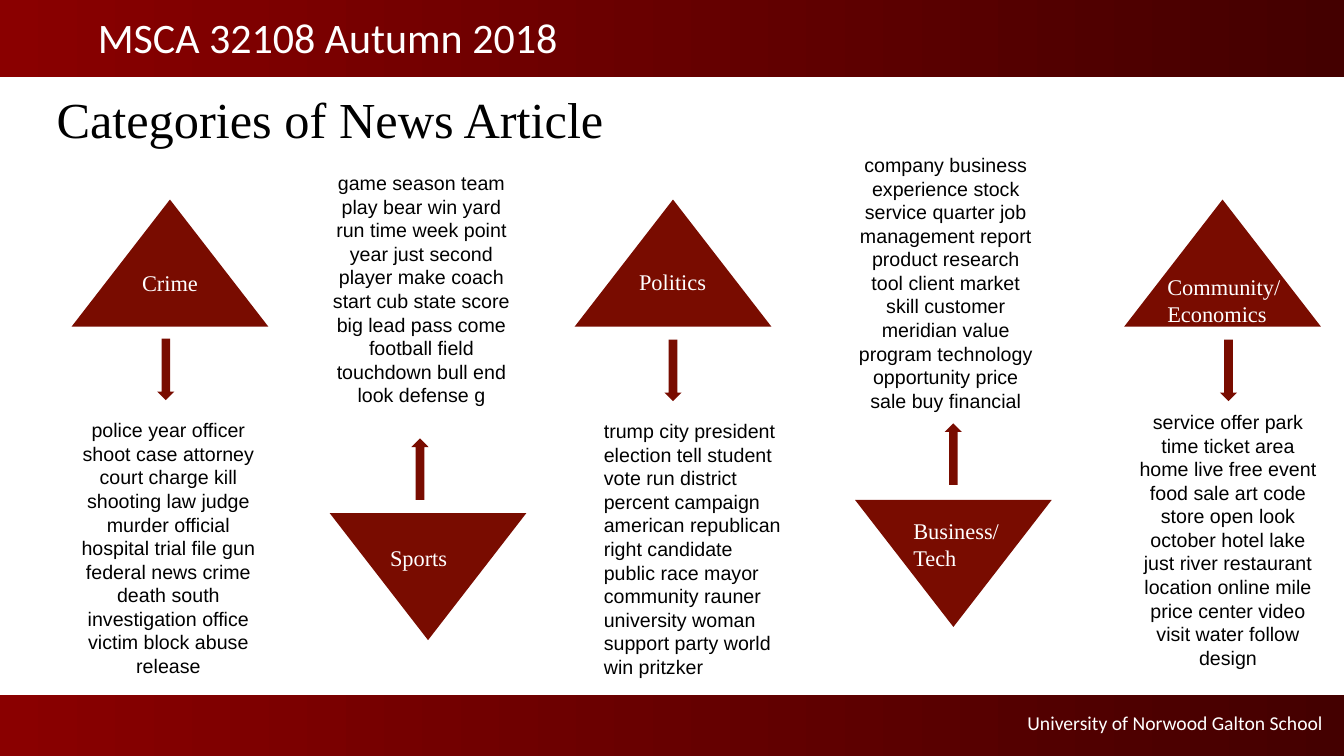
"""Build the slide that sorts news articles into five keyword categories."""
from dataclasses import dataclass
from typing import Optional

import pptx
import pptx.dml.color
import pptx.enum.shapes
import pptx.enum.text
import pptx.util

Align = pptx.enum.text.PP_ALIGN
Anchor = pptx.enum.text.MSO_ANCHOR
Preset = pptx.enum.shapes.MSO_SHAPE

COLORS = {"bright": "8A0000", "dark": "440000", "maroon": "790C00",
          "white": "FFFFFF", "black": "000000"}
WIDTH = pptx.util.Inches(13.33)
HEIGHT = pptx.util.Inches(7.5)


@dataclass(frozen=True)
class Area:
    """Position and size in percent of the slide."""
    left: float
    top: float
    width: float
    height: float

    def lengths(self) -> tuple[int, int, int, int]:
        return (round(WIDTH * self.left / 100), round(HEIGHT * self.top / 100),
                round(WIDTH * self.width / 100), round(HEIGHT * self.height / 100))


@dataclass(frozen=True)
class Style:
    font: str
    size: int
    color: str
    align: Align = Align.LEFT
    inset: tuple[float, float] = (0.1, 0.05)


@dataclass(frozen=True)
class Category:
    name: str
    words: str
    points_up: bool
    triangle: tuple[float, float]
    arrow: tuple[float, float]
    list_area: Area
    label: Optional[Area] = None
    align: Align = Align.CENTER


LABEL = Style("Times New Roman", 16, "white")
INNER_LABEL = Style("Times New Roman", 16, "white", Align.CENTER)
HEADING = Style("Times New Roman", 36, "black", inset=(0.05, 0.05))
COURSE = Style("Calibri", 30, "white", inset=(0.05, 0.05))
SCHOOL = Style("Calibri", 14, "white", Align.RIGHT)
TRIANGLE_SIZE = (14.63, 16.8)
ARROW_SIZE = (1.28, 8.13)

CATEGORIES = [
    Category("Crime",
             "police year officer shoot case attorney court charge kill shooting law judge "
             "murder official hospital trial file gun federal news crime death south "
             "investigation office victim block abuse release",
             True, (5.33, 26.4), (11.7, 44.8), Area(5.18, 54.67, 14.7, 35.87)),
    Category("Sports",
             "game season team play bear win yard run time week point year just second "
             "player make coach start cub state score big lead pass come football field "
             "touchdown bull end look defense g",
             False, (24.53, 67.87), (30.61, 58), Area(24.01, 22, 14.7, 32.8),
             Area(28.28, 71.33, 7.73, 4.93)),
    Category("Politics",
             "trump city president election tell student vote run district percent campaign "
             "american republican right candidate public race mayor community rauner "
             "university woman support party world win pritzker",
             True, (42.76, 26.4), (49.44, 44.93), Area(44.19, 54.8, 14.7, 35.87),
             Area(46.81, 34.8, 7.73, 4.93), Align.LEFT),
    Category("Business/Tech",
             "company business experience stock service quarter job management report "
             "product research tool client market skill customer meridian value program "
             "technology opportunity price sale buy financial",
             False, (63.62, 66.13), (70.29, 56), Area(63.02, 19.6, 14.7, 35.87),
             Area(67.22, 67.73, 8.63, 8.53)),
    Category("Community/\nEconomics",
             "service offer park time ticket area home live free event food sale art code "
             "store open look october hotel lake just river restaurant location online mile "
             "price center video visit water follow design",
             True, (83.65, 26.4), (90.77, 44.93), Area(84.02, 53.6, 14.7, 35.87),
             Area(86.12, 35.47, 10.58, 8.53)),
]


def rgb(name: str) -> pptx.dml.color.RGBColor:
    return pptx.dml.color.RGBColor.from_string(COLORS[name])


def write(shape, text: str, style: Style, anchor: Anchor = Anchor.TOP) -> None:
    frame = shape.text_frame
    frame.text = text
    frame.word_wrap = True
    frame.auto_size = pptx.enum.text.MSO_AUTO_SIZE.NONE
    frame.vertical_anchor = anchor
    side, edge = (pptx.util.Inches(value) for value in style.inset)
    frame.margin_left = frame.margin_right = side
    frame.margin_top = frame.margin_bottom = edge
    for para in frame.paragraphs:
        para.alignment = style.align
        for span in para.runs:
            span.font.name = style.font
            span.font.size = pptx.util.Pt(style.size)
            span.font.color.rgb = rgb(style.color)


def add_text(slide, area: Area, text: str, style: Style) -> None:
    write(slide.shapes.add_textbox(*area.lengths()), text, style)


def add_preset(slide, preset: Preset, area: Area, turned: bool = False):
    shape = slide.shapes.add_shape(preset, *area.lengths())
    shape.shadow.inherit = False
    shape.line.fill.background()
    shape.fill.solid()
    shape.fill.fore_color.rgb = rgb("maroon")
    shape.rotation = 180 if turned else 0
    return shape


def add_band(slide, area: Area) -> None:
    band = add_preset(slide, Preset.RECTANGLE, area)
    band.fill.gradient()
    band.fill.gradient_angle = 0
    for stop, position, color in zip(band.fill.gradient_stops, (0, 1), ("bright", "dark")):
        stop.position = position
        stop.color.rgb = rgb(color)


def add_category(slide, category: Category) -> None:
    turned = not category.points_up
    triangle = add_preset(slide, Preset.ISOSCELES_TRIANGLE,
                          Area(*category.triangle, *TRIANGLE_SIZE), turned)
    add_preset(slide, Preset.DOWN_ARROW, Area(*category.arrow, *ARROW_SIZE), turned)
    add_text(slide, category.list_area, category.words,
             Style("Arial", 14, "black", category.align))
    if category.label:
        add_text(slide, category.label, category.name, LABEL)
    else:
        write(triangle, category.name, INNER_LABEL, Anchor.MIDDLE)
        triangle.text_frame.margin_bottom = pptx.util.Inches(0.29)


def main() -> None:
    deck = pptx.Presentation()
    deck.slide_width, deck.slide_height = WIDTH, HEIGHT
    slide = deck.slides.add_slide(deck.slide_layouts[5])
    add_band(slide, Area(0, 91.87, 100, 8.13))
    add_band(slide, Area(0, 0, 100, 10.13))
    add_text(slide, Area(56.26, 93.33, 42.91, 4.53),
             "University of Norwood Galton School", SCHOOL)
    add_text(slide, Area(6.9, 0.93, 64.37, 8.13), "MSCA 32108 Autumn 2018", COURSE)
    title = slide.shapes.title
    title.left, title.top, title.width, title.height = Area(3.83, 10.93, 64.37, 9.47).lengths()
    write(title, "Categories of News Article", HEADING, Anchor.MIDDLE)
    for category in CATEGORIES:
        add_category(slide, category)
    deck.save("out.pptx")


if __name__ == "__main__":
    main()
